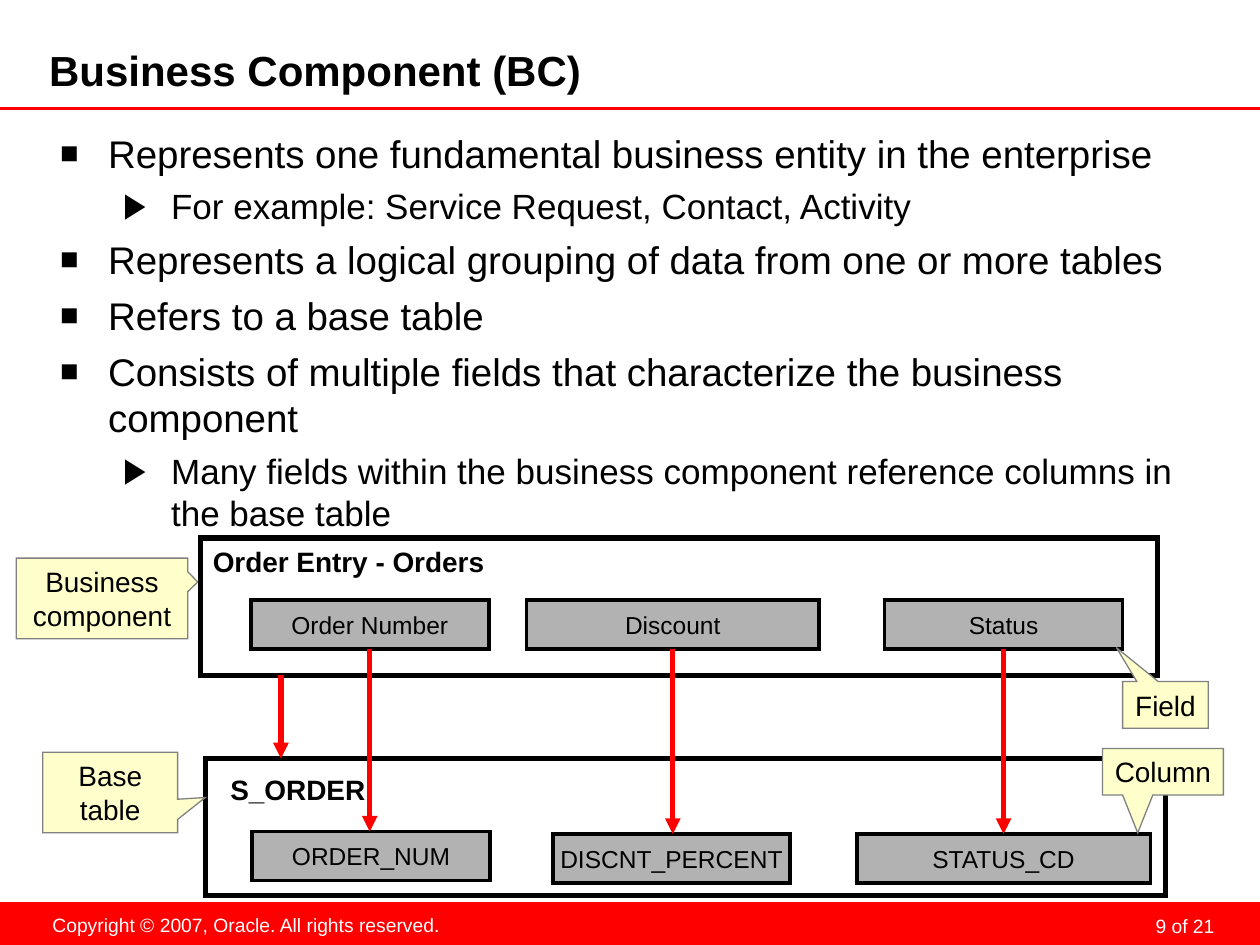
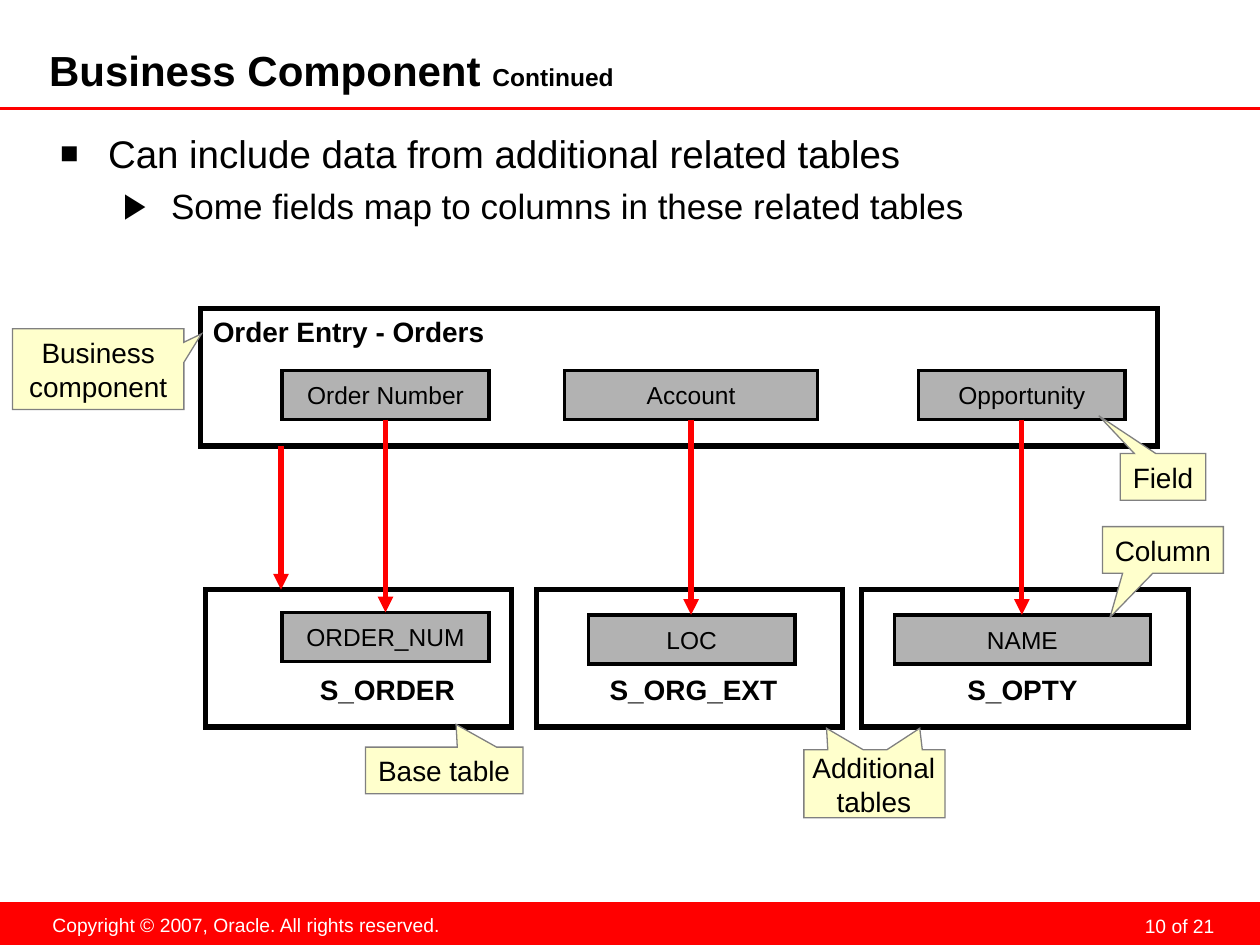
import pptx
import pptx.dml.color
import pptx.enum.shapes
import pptx.enum.text
import pptx.oxml.ns
import pptx.util
import lxml.etree

Inches = pptx.util.Inches
Pt = pptx.util.Pt
RGBColor = pptx.dml.color.RGBColor
SHAPES = pptx.enum.shapes.MSO_SHAPE
ALIGN = pptx.enum.text.PP_ALIGN
ANCHOR = pptx.enum.text.MSO_ANCHOR
qn = pptx.oxml.ns.qn

RED = RGBColor(0xFF, 0x00, 0x00)
BLACK = RGBColor(0x00, 0x00, 0x00)
WHITE = RGBColor(0xFF, 0xFF, 0xFF)
FIELD_GRAY = RGBColor(0xB2, 0xB2, 0xB2)
NOTE_YELLOW = RGBColor(0xFF, 0xFF, 0xCC)
NOTE_EDGE = RGBColor(0x80, 0x80, 0x80)

FONT = "Arial"
INSETS = (0.1, 0.05, 0.1, 0.05)
PANEL_HEIGHT = 1.09
CELL_HEIGHT = 0.39
# Per level: bullet, its size in percent, left margin, text size, space before
BULLETS = [("■", 80, 0.38, 22, 5.5), ("▶", 100, 0.88, 20, 5)]


# Basic parts
def add_run(paragraph, text, size, color=BLACK, bold=False):
    run = paragraph.add_run()
    run.text = text
    run.font.name = FONT
    run.font.size = Pt(size)
    run.font.bold = bold
    run.font.color.rgb = color


def set_frame(shape, insets=INSETS, wrap=True, anchor=ANCHOR.TOP):
    frame = shape.text_frame
    frame.margin_left, frame.margin_top, frame.margin_right, frame.margin_bottom = map(Inches, insets)
    frame.word_wrap = wrap
    frame.vertical_anchor = anchor
    return frame


def add_text(slide, box, runs, align=ALIGN.LEFT, color=BLACK, bold=False, **frame_options):
    shape = slide.shapes.add_textbox(*map(Inches, box))
    paragraph = set_frame(shape, **frame_options).paragraphs[0]
    paragraph.alignment = align
    for text, size in runs:
        add_run(paragraph, text, size, color, bold)
    return paragraph


def style_shape(shape, fill, line, width):
    shape.shadow.inherit = False
    if fill is None:
        shape.fill.background()
    else:
        shape.fill.solid()
        shape.fill.fore_color.rgb = fill
    if line is None:
        shape.line.fill.background()
    else:
        shape.line.color.rgb = line
        shape.line.width = Pt(width)
        # Square corners
        lxml.etree.SubElement(shape.line._get_or_add_ln(), qn("a:miter"), lim="800000")


def add_box(slide, box, fill, line=None, width=0, kind=SHAPES.RECTANGLE):
    shape = slide.shapes.add_shape(kind, *map(Inches, box))
    style_shape(shape, fill, line, width)
    return shape


def add_label(shape, text, size, wrap=False):
    paragraph = set_frame(shape, wrap=wrap, anchor=ANCHOR.MIDDLE).paragraphs[0]
    paragraph.alignment = ALIGN.CENTER
    add_run(paragraph, text, size)


def add_line(slide, start_x, start_y, end_x, end_y, width):
    line = slide.shapes.add_connector(
        pptx.enum.shapes.MSO_CONNECTOR.STRAIGHT, start_x, start_y, end_x, end_y)
    line.line.color.rgb = RED
    line.line.width = Pt(width)
    lxml.etree.SubElement(line._element.spPr, qn("a:effectLst"))
    return line


def add_arrow(slide, upper, lower, x):
    """Red arrow from the bottom of one shape down to the top of another."""
    arrow = add_line(slide, x, upper.top + upper.height, x, lower.top, 3)
    lxml.etree.SubElement(arrow.line._get_or_add_ln(), qn("a:tailEnd"), type="triangle")


def add_callout(slide, box, tip, text, wrap=False):
    """Yellow note whose wedge ends at the point tip."""
    left, top, width, height = box
    shape = add_box(slide, box, NOTE_YELLOW, NOTE_EDGE, 0.75, SHAPES.RECTANGULAR_CALLOUT)
    shape.adjustments[0] = (tip[0] - left - width / 2) / width
    shape.adjustments[1] = (tip[1] - top - height / 2) / height
    add_label(shape, text, 16, wrap)


# Regions of a slide
def add_page(presentation, title_runs, page_number):
    """Blank slide with title, rule and footer band."""
    slide = presentation.slides.add_slide(presentation.slide_layouts[6])
    add_box(slide, (0, 7.16, 10, 0.34), RED)
    number = add_text(slide, (7.36, 7.19, 2.33, 0.25), [(f"{page_number} of 21", 11)],
                      ALIGN.RIGHT, WHITE, insets=(0.05, 0, 0.05, 0))
    number.line_spacing = Pt(18)
    add_text(slide, (0.31, 7.2, 3.29, 0.29),
             [("Copyright © 2007, Oracle. All rights reserved.", 11)],
             ALIGN.CENTER, WHITE, wrap=False)
    add_line(slide, 0, Inches(0.86), Inches(10), Inches(0.86), 1.75)
    add_text(slide, (0.39, 0.38, 7.87, 0.4), title_runs, bold=True,
             insets=(0, 0, 0.05, 0.05), anchor=ANCHOR.MIDDLE)
    return slide


def add_bullets(slide, items):
    shape = slide.shapes.add_textbox(*map(Inches, (0.38, 0.93, 9.3, 6.17)))
    frame = set_frame(shape, insets=(0.1, 0.1, 0.1, 0.05))
    for index, (level, text) in enumerate(items):
        paragraph = frame.add_paragraph() if index else frame.paragraphs[0]
        mark, percent, margin, size, space = BULLETS[level]
        paragraph.level = level
        properties = paragraph._p.get_or_add_pPr()
        properties.set("marL", str(Inches(margin)))
        properties.set("indent", str(-Inches(0.38)))
        color = lxml.etree.SubElement(properties, qn("a:buClr"))
        lxml.etree.SubElement(color, qn("a:srgbClr"), val=str(BLACK))
        lxml.etree.SubElement(properties, qn("a:buSzPct"), val=str(percent * 1000))
        lxml.etree.SubElement(properties, qn("a:buFont"), typeface=FONT)
        lxml.etree.SubElement(properties, qn("a:buChar"), char=mark)
        if index:
            paragraph.space_before = Pt(space)
        add_run(paragraph, text, size)


def add_panel(slide, left, top, width, cells):
    """Outlined panel with gray cells given as (x offset, y offset, width, name)."""
    panel = add_box(slide, (left, top, width, PANEL_HEIGHT), None, BLACK, 3)
    shapes = []
    for x, y, cell_width, name in cells:
        cell = add_box(slide, (left + x, top + y, cell_width, CELL_HEIGHT), FIELD_GRAY, BLACK, 2)
        add_label(cell, name, 14)
        shapes.append(cell)
    return panel, shapes


def add_component(slide, left, top, fields):
    """Business component panel with its heading and a row of fields."""
    add_text(slide, (left, top, 3.89, 0.37), [("Order Entry - Orders", 16)], bold=True)
    return add_panel(slide, left, top, 7.6, [(x, 0.49, width, name) for x, width, name in fields])


def add_table_name(slide, left, top, width, name):
    add_text(slide, (left, top, width, 0.37), [(name, 16)], bold=True, wrap=False)


def add_mapping(slide, component, fields, base_table, columns):
    """Arrows from the component to its base table and from each field to its column."""
    add_arrow(slide, component, base_table, Inches(2.23))
    for field, column in zip(fields, columns):
        add_arrow(slide, field, column, field.left + field.width // 2)


def add_additional_tables_note(slide, left, top):
    """Note with two wedges, one for each additional table."""
    outline = [(0, 0.17), (0.19, 0.17), (0.18, 0), (0.47, 0.17), (0.66, 0.17), (0.92, 0),
               (0.94, 0.17), (1.12, 0.17), (1.12, 0.71), (0, 0.71)]
    points = [(Inches(left + x), Inches(top + y)) for x, y in outline]
    builder = slide.shapes.build_freeform(*points[0])
    builder.add_line_segments(points[1:], close=True)
    style_shape(builder.convert_to_shape(), NOTE_YELLOW, NOTE_EDGE, 0.75)
    first = add_text(slide, (left - 0.77, top + 0.13, 2.65, 0.64), [("Additional", 16)], ALIGN.CENTER)
    second = first._parent.add_paragraph()
    second.alignment = ALIGN.CENTER
    add_run(second, "tables", 16)


# Slides
def build_component_slide(presentation):
    slide = add_page(presentation, [("Business Component (BC)", 24)], 9)
    add_bullets(slide, [
        (0, "Represents one fundamental business entity in the enterprise"),
        (1, "For example: Service Request, Contact, Activity"),
        (0, "Represents a logical grouping of data from one or more tables"),
        (0, "Refers to a base table"),
        (0, "Consists of multiple fields that characterize the business component"),
        (1, "Many fields within the business component reference columns in the base table"),
    ])
    component, fields = add_component(slide, 1.59, 4.27, [
        (0.4, 1.89, "Order Number"), (2.59, 2.32, "Discount"), (5.43, 1.89, "Status")])
    table, columns = add_panel(slide, 1.63, 6.02, 7.62, [
        (0.37, 0.58, 1.89, "ORDER_NUM"),
        (2.76, 0.6, 1.88, "DISCNT_PERCENT"),
        (5.17, 0.6, 2.33, "STATUS_CD")])
    add_table_name(slide, 1.73, 6.08, 1.3, "S_ORDER")
    add_mapping(slide, component, fields, table, columns)
    add_callout(slide, (8.91, 5.41, 0.68, 0.37), (8.86, 5.14), "Field")
    add_callout(slide, (0.13, 4.43, 1.36, 0.64), (1.57, 4.62), "Business component", wrap=True)
    add_callout(slide, (8.75, 5.94, 0.96, 0.37), (9.03, 6.61), "Column")
    add_callout(slide, (0.34, 5.97, 1.07, 0.64), (1.63, 6.33), "Base table", wrap=True)


def build_continued_slide(presentation):
    slide = add_page(presentation, [("Business Component ", 24), ("Continued", 14)], 10)
    add_bullets(slide, [
        (0, "Can include data from additional related tables"),
        (1, "Some fields map to columns in these related tables"),
    ])
    component, fields = add_component(slide, 1.59, 2.45, [
        (0.65, 1.64, "Order Number"), (2.89, 2.01, "Account"), (5.7, 1.64, "Opportunity")])
    tables, columns = [], []
    # Panel left and width, column cell, table name with its left and width
    for left, width, cell, name, name_left, name_width in [
        (1.63, 2.43, (0.61, 0.18, 1.64, "ORDER_NUM"), "S_ORDER", 2.44, 1.3),
        (4.26, 2.43, (0.41, 0.2, 1.64, "LOC"), "S_ORG_EXT", 4.74, 1.6),
        (6.84, 2.59, (0.26, 0.2, 2.03, "NAME"), "S_OPTY", 7.58, 1.2),
    ]:
        table, cells = add_panel(slide, left, 4.68, width, [cell])
        add_table_name(slide, name_left, 5.29, name_width, name)
        tables.append(table)
        columns += cells
    add_mapping(slide, component, fields, tables[0], columns)
    add_callout(slide, (8.89, 3.6, 0.68, 0.37), (8.72, 3.3), "Field")
    add_callout(slide, (0.1, 2.61, 1.36, 0.64), (1.6, 2.65), "Business component", wrap=True)
    add_callout(slide, (2.9, 5.93, 1.25, 0.37), (3.62, 5.75), "Base table")
    add_callout(slide, (8.75, 4.18, 0.96, 0.37), (8.81, 4.9), "Column")
    add_additional_tables_note(slide, 6.38, 5.78)


def main():
    presentation = pptx.Presentation()
    presentation.slide_width = Inches(10)
    presentation.slide_height = Inches(7.5)
    build_component_slide(presentation)
    build_continued_slide(presentation)
    presentation.save("out.pptx")


if __name__ == "__main__":
    main()
